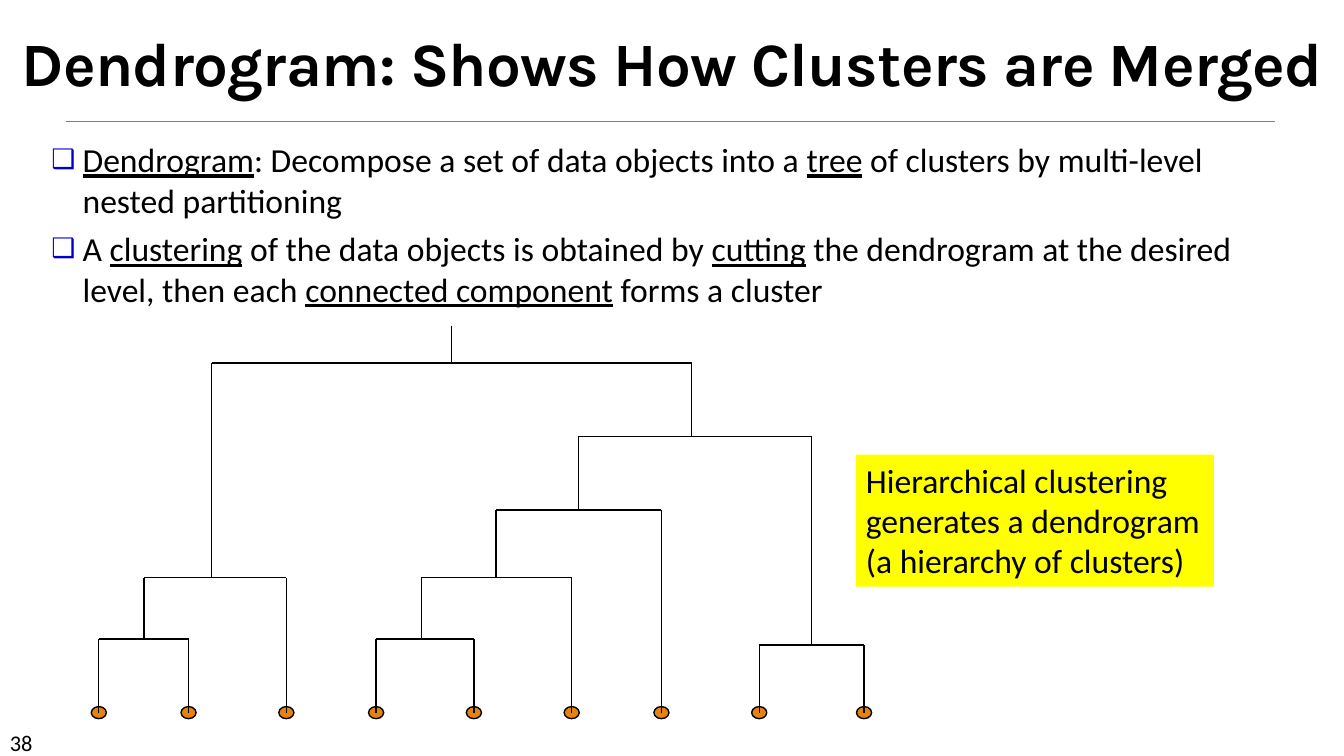
"""Build the slide that explains dendrograms of hierarchical clustering."""
from dataclasses import dataclass

from lxml.etree import SubElement
from pptx import Presentation
from pptx.dml.color import RGBColor
from pptx.enum.shapes import MSO_CONNECTOR, MSO_SHAPE
from pptx.enum.text import MSO_ANCHOR, MSO_AUTO_SIZE, PP_ALIGN
from pptx.oxml.ns import qn
from pptx.slide import Slide
from pptx.text.text import _Paragraph
from pptx.util import Inches, Pt

COLORS = {
    "text": "000000",
    "rule": "808080",
    "bullet": "0000CC",
    "leaf": "E48312",
    "callout": "FFFF00",
}
BODY_FONT = "Calibri"
LEAF_Y = 7.07
LEAF_WIDTH, LEAF_HEIGHT = 0.15, 0.12
ROOT_TOP = 3.23
BULLETS = (
    "_Dendrogram_: Decompose a set of data objects into a _tree_ of clusters "
    "by multi-level nested partitioning",
    "A _clustering_ of the data objects is obtained by _cutting_ the dendrogram "
    "at the desired level, then each _connected component_ forms a cluster",
)


@dataclass(frozen=True)
class Cluster:
    """A dendrogram node with its stem position and merged clusters."""

    x: float
    y: float = LEAF_Y
    children: tuple["Cluster", ...] = ()


LEAVES = [Cluster(x) for x in (0.98, 1.87, 2.84, 3.73, 4.7, 5.67, 6.56, 7.53, 8.57)]
LEFT_PAIR = Cluster(1.43, 6.34, (LEAVES[0], LEAVES[1]))
LEFT_BRANCH = Cluster(2.1, 5.73, (LEFT_PAIR, LEAVES[2]))
MIDDLE_PAIR = Cluster(4.18, 6.34, (LEAVES[3], LEAVES[4]))
MIDDLE_TRIPLE = Cluster(4.92, 5.73, (MIDDLE_PAIR, LEAVES[5]))
MIDDLE_BRANCH = Cluster(5.74, 5.06, (MIDDLE_TRIPLE, LEAVES[6]))
RIGHT_PAIR = Cluster(8.05, 6.4, (LEAVES[7], LEAVES[8]))
RIGHT_BRANCH = Cluster(6.86, 4.33, (MIDDLE_BRANCH, RIGHT_PAIR))
ROOT = Cluster(4.48, 3.6, (LEFT_BRANCH, RIGHT_BRANCH))


def color(name: str) -> RGBColor:
    """Return a named color of the slide."""
    return RGBColor.from_string(COLORS[name])


def set_font(paragraph: _Paragraph, size: float, name: str = BODY_FONT) -> None:
    """Set the font that all runs of a paragraph share."""
    paragraph.font.name = name
    paragraph.font.size = Pt(size)
    paragraph.font.color.rgb = color("text")


def add_line(slide: Slide, start: tuple[float, float], end: tuple[float, float],
             line_color: str = "text", width: float = 1) -> None:
    """Draw a straight line without a shadow."""
    line = slide.shapes.add_connector(
        MSO_CONNECTOR.STRAIGHT, *(Inches(value) for value in (*start, *end)))
    line.line.color.rgb = color(line_color)
    line.line.width = Pt(width)
    SubElement(line._element.spPr, qn("a:effectLst"))


def add_title(slide: Slide) -> None:
    """Fill and place the title."""
    title = slide.shapes.title
    title.left, title.top = Inches(0), Inches(0.42)
    title.width, title.height = Inches(13.33), Inches(0.61)
    frame = title.text_frame
    frame.text = "Dendrogram: Shows How Clusters are Merged"
    frame.auto_size = MSO_AUTO_SIZE.NONE
    frame.vertical_anchor = MSO_ANCHOR.BOTTOM
    paragraph = frame.paragraphs[0]
    paragraph.alignment = PP_ALIGN.CENTER
    paragraph.line_spacing = 0.85
    set_font(paragraph, 44, "Karla")
    paragraph.font.bold = True
    paragraph.runs[0]._r.get_or_add_rPr().set("spc", "-50")


def add_bullet(paragraph: _Paragraph, text: str) -> None:
    """Write a bulleted paragraph whose _marked_ words are underlined."""
    properties = paragraph._p.get_or_add_pPr()
    properties.set("marL", str(Inches(0.31)))
    properties.set("indent", str(-Inches(0.31)))
    bullet_color = SubElement(properties, qn("a:buClr"))
    SubElement(bullet_color, qn("a:srgbClr"), val=COLORS["bullet"])
    SubElement(properties, qn("a:buSzPct"), val="80000")
    SubElement(properties, qn("a:buChar"), char="❑")
    set_font(paragraph, 24)
    for index, part in enumerate(text.split("_")):
        if part:
            run = paragraph.add_run()
            run.text = part
            if index % 2:
                run.font.underline = True


def add_body(slide: Slide) -> None:
    """Fill and place the bulleted list."""
    body = slide.placeholders[1]
    body.left, body.top = Inches(0.41), Inches(1.33)
    body.width, body.height = Inches(12.02), Inches(1.9)
    frame = body.text_frame
    frame.auto_size = MSO_AUTO_SIZE.NONE
    for index, text in enumerate(BULLETS):
        paragraph = frame.add_paragraph() if index else frame.paragraphs[0]
        add_bullet(paragraph, text)
        paragraph.space_before = Pt(6 if index else 0)


def add_text_box(slide: Slide, bounds: tuple[float, float, float, float],
                 text: str, size: float, fill: str | None = None) -> None:
    """Add a wrapped text box, with a fill if one is named."""
    box = slide.shapes.add_textbox(*(Inches(value) for value in bounds))
    if fill:
        box.fill.solid()
        box.fill.fore_color.rgb = color(fill)
    box.text_frame.word_wrap = True
    box.text_frame.text = text
    set_font(box.text_frame.paragraphs[0], size)


def add_leaf(slide: Slide, leaf: Cluster) -> None:
    """Draw the dot of a single data object."""
    dot = slide.shapes.add_shape(
        MSO_SHAPE.OVAL, Inches(leaf.x - LEAF_WIDTH / 2), Inches(leaf.y - LEAF_HEIGHT / 2),
        Inches(LEAF_WIDTH), Inches(LEAF_HEIGHT))
    dot.shadow.inherit = False
    dot.fill.solid()
    dot.fill.fore_color.rgb = color("leaf")
    dot.line.color.rgb = color("text")
    dot.line.width = Pt(1)


def add_branches(slide: Slide, cluster: Cluster, stem_top: float) -> None:
    """Draw the stem of a cluster, its bar and everything below."""
    add_line(slide, (cluster.x, stem_top), (cluster.x, cluster.y))
    if cluster.children:
        left, right = cluster.children
        add_line(slide, (left.x, cluster.y), (right.x, cluster.y))
        for child in cluster.children:
            add_branches(slide, child, cluster.y)


def main() -> None:
    """Build and save the presentation."""
    presentation = Presentation()
    presentation.slide_width, presentation.slide_height = Inches(13.33), Inches(7.5)
    slide = presentation.slides.add_slide(presentation.slide_layouts[1])
    add_line(slide, (0.65, 1.2), (12.65, 1.2), "rule", 0.5)
    add_text_box(slide, (0, 7.18, 1.17, 0.3), "38", 16)
    add_title(slide)
    add_body(slide)
    for leaf in LEAVES:
        add_leaf(slide, leaf)
    add_branches(slide, ROOT, ROOT_TOP)
    add_text_box(
        slide, (8.49, 4.51, 3.55, 1.31),
        "Hierarchical clustering generates a dendrogram (a hierarchy of clusters)",
        24, "callout")
    presentation.save("out.pptx")


if __name__ == "__main__":
    main()
